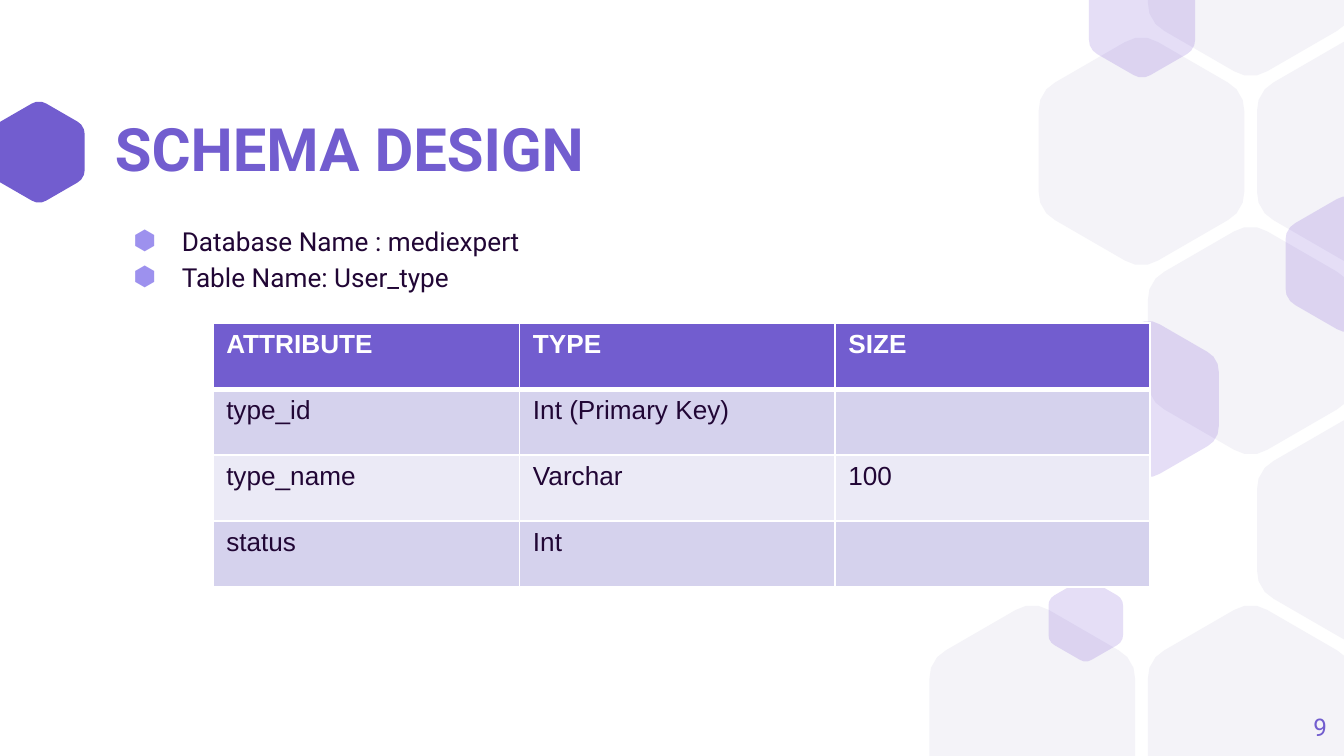
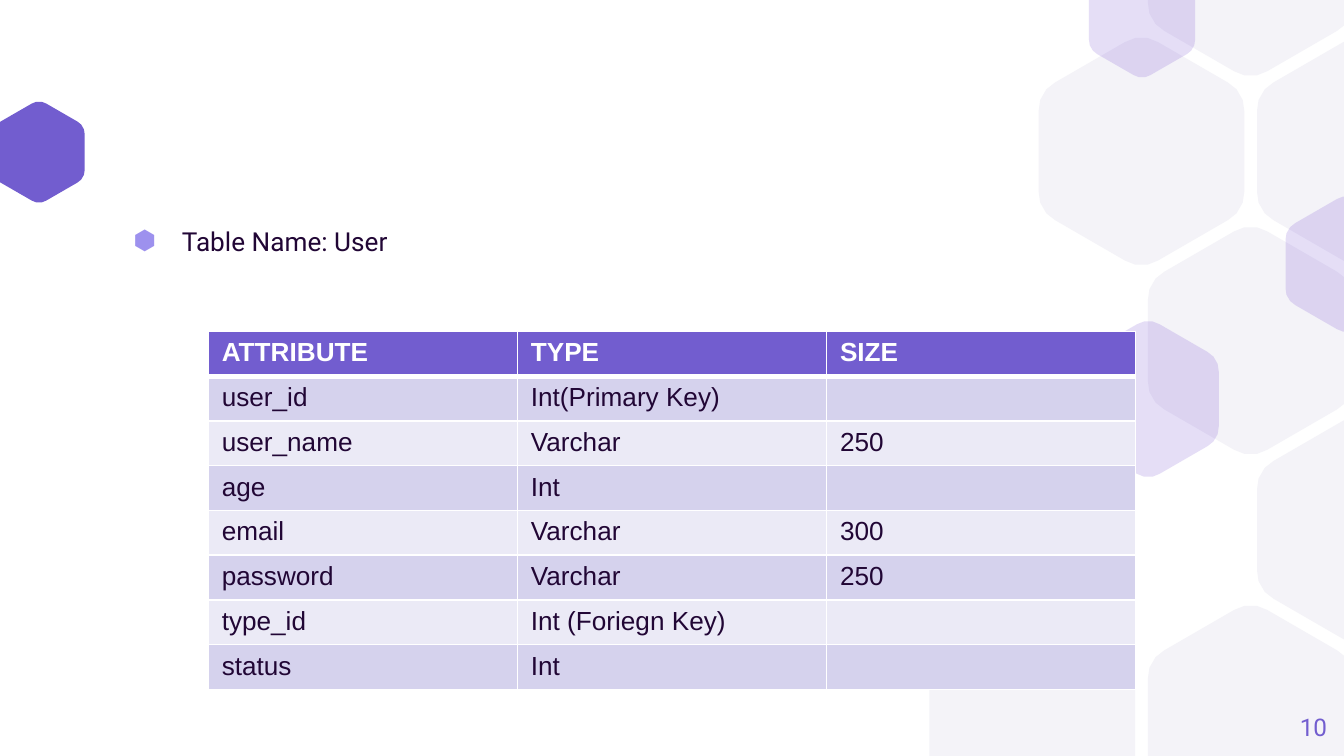
import math

import pptx
import pptx.dml.color
import pptx.enum.text
import pptx.oxml
import pptx.oxml.ns
import pptx.util

Pt = pptx.util.Pt
ALIGN = pptx.enum.text.PP_ALIGN
ANCHOR = pptx.enum.text.MSO_ANCHOR
NS = pptx.oxml.ns.nsdecls("a")

WIDTH, HEIGHT = 720, 405
VIOLET, LILAC, INK, WHITE = "725DCF", "9D91EE", "210635", "FFFFFF"
MIST, GLOW = "F4F3F8", "5322C9"
BANDS = ["D5D2ED", "EBEAF6"]
HEADINGS = ["ATTRIBUTE", "TYPE", "SIZE"]

CORNER = [(-0.08, -0.53), (-0.03, -0.55), (0.03, -0.55), (0.08, -0.53)]
HONEYCOMB = [(0, 4), (2, 4), (3, 1), (2, 0), (2, 2), (1, 1), (3, 3)]
GLOWING = [(721.5, 141.5, 65.8), (581.7, 332.3, 40), (611.8, 10, 57), (615.2, 213.8, 75.6)]


def color(code):
    return pptx.dml.color.RGBColor.from_string(code)


def hexagon_outline(center_x, center_y, width):
    points = []
    for side in range(6):
        turn = math.radians(60 * side)
        for x, y in CORNER:
            points.append((
                center_x + width * (x * math.cos(turn) - y * math.sin(turn)),
                center_y + width * (x * math.sin(turn) + y * math.cos(turn))))
    inside = [0 <= y <= HEIGHT for _, y in points]
    return [(Pt(x), Pt(min(max(y, 0), HEIGHT)))
            for i, (x, y) in enumerate(points)
            if inside[i - 1] or inside[i] or inside[(i + 1) % len(points)]]


class SchemaDeck:
    def __init__(self):
        self.deck = pptx.Presentation()
        self.deck.slide_width, self.deck.slide_height = Pt(WIDTH), Pt(HEIGHT)
        self.layout = self.deck.slide_layouts[1]
        self.slide = None

    def add_slide(self):
        self.slide = self.deck.slides.add_slide(self.layout)

    def hexagon(self, center_x, center_y, width, fill, opacity=100):
        outline = hexagon_outline(center_x, center_y, width)
        builder = self.slide.shapes.build_freeform(*outline[0])
        builder.add_line_segments(outline[1:], close=True)
        tile = builder.convert_to_shape()
        tile.shadow.inherit = False
        tile.fill.solid()
        tile.fill.fore_color.rgb = color(fill)
        tile.line.fill.background()
        if opacity < 100:
            paint = tile.element.spPr.find(".//" + pptx.oxml.ns.qn("a:srgbClr"))
            paint.append(pptx.oxml.parse_xml(f'<a:alpha {NS} val="{opacity * 1000}"/>'))
        return tile

    def backdrop(self):
        for footer in list(self.layout.placeholders):
            if footer.placeholder_format.idx >= 10:
                footer.element.getparent().remove(footer.element)
        tiles = [self.hexagon(20.9, 81.5, 49, VIOLET)]
        for column, row in HONEYCOMB:
            tiles.append(self.hexagon(553 + 58.5 * column, -20.3 + 101.4 * row, 110.4, MIST))
        for center_x, center_y, width in GLOWING:
            tiles.append(self.hexagon(center_x, center_y, width, GLOW, 15))
        for tile in tiles:
            self.layout.shapes.element.append(tile.element)

    def place(self, holder, left, top, width, height, anchor):
        holder.left, holder.top = Pt(left), Pt(top)
        holder.width, holder.height = Pt(width), Pt(height)
        frame = holder.text_frame
        frame.margin_left = frame.margin_right = frame.margin_top = frame.margin_bottom = 0
        frame.word_wrap = True
        frame.auto_size = pptx.enum.text.MSO_AUTO_SIZE.NONE
        frame.vertical_anchor = anchor
        return frame

    def style(self, paragraph, size, ink, name="Roboto", bold=False):
        font = paragraph.font
        font.name, font.size, font.bold = name, Pt(size), bold
        font.color.rgb = color(ink)

    def title(self, wording):
        heading = self.slide.shapes.title
        if not wording:
            heading.element.getparent().remove(heading.element)
            return
        frame = self.place(heading, 61.5, 65.9, 473, 31, ANCHOR.MIDDLE)
        frame.text = wording
        line = frame.paragraphs[0]
        line.alignment, line.line_spacing = ALIGN.LEFT, 0.9
        self.style(line, 32, VIOLET, bold=True)

    def bullets(self, facts):
        frame = self.place(self.slide.placeholders[1], 61.4, 118.2, 473, 226.8, ANCHOR.TOP)
        frame.text = "\n".join(facts)
        for fact in frame.paragraphs:
            fact.line_spacing, fact.space_before = 1.15, Pt(0)
            props = fact._p.get_or_add_pPr()
            props.set("marL", str(Pt(36)))
            props.set("indent", str(Pt(-26)))
            props.append(pptx.oxml.parse_xml(
                f'<a:buClr {NS}><a:srgbClr val="{LILAC}"/></a:buClr>'))
            props.append(pptx.oxml.parse_xml(f'<a:buFont {NS} typeface="Roboto"/>'))
            props.append(pptx.oxml.parse_xml(f'<a:buChar {NS} char="⬢"/>'))
            self.style(fact, 14, INK)

    def page_number(self, number):
        corner = self.slide.shapes.add_textbox(0, 0, 0, 0)
        frame = self.place(corner, 667.7, 373.9, 43.2, 31, ANCHOR.MIDDLE)
        frame.text = str(number)
        frame.paragraphs[0].alignment = ALIGN.RIGHT
        self.style(frame.paragraphs[0], 13, VIOLET)

    def borders(self, cell, above, below):
        props = cell._tc.get_or_add_tcPr()
        edges = [("lnL", 1), ("lnR", 1), ("lnT", above), ("lnB", below)]
        for position, (edge, weight) in enumerate(edges):
            props.insert(position, pptx.oxml.parse_xml(
                f'<a:{edge} {NS} w="{Pt(weight)}"><a:solidFill>'
                f'<a:srgbClr val="{WHITE}"/></a:solidFill></a:{edge}>'))

    def schema(self, left, top, column_widths, row_height, attributes):
        rows = [HEADINGS] + attributes
        grid = self.slide.shapes.add_table(
            len(rows), len(HEADINGS), Pt(left), Pt(top),
            Pt(sum(column_widths)), Pt(row_height * len(rows))).table
        grid.horz_banding = False
        for column, width in zip(grid.columns, column_widths):
            column.width = Pt(width)
        for r, values in enumerate(rows):
            grid.rows[r].height = Pt(row_height)
            for c, value in enumerate(values):
                cell = grid.cell(r, c)
                header = r == 0
                if value:
                    cell.text = value
                cell.fill.solid()
                cell.fill.fore_color.rgb = color(VIOLET if header else BANDS[(r - 1) % 2])
                self.borders(cell, 3 if r == 1 else 1, 3 if header else 1)
                self.style(cell.text_frame.paragraphs[0], 14,
                           WHITE if header else INK, "Arial", header)


def main():
    show = SchemaDeck()

    show.add_slide()
    show.backdrop()
    show.title("SCHEMA DESIGN")
    show.bullets(["Database Name : mediexpert", "Table Name: User_type"])
    show.page_number(9)
    show.schema(114, 173.2, [164.3, 169, 168.8], 35.3, [
        ["type_id", "Int (Primary Key)", ""],
        ["type_name", "Varchar", "100"],
        ["status", "Int", ""],
    ])

    show.add_slide()
    show.title("")
    show.bullets(["Table Name: User"])
    show.page_number(10)
    show.schema(111.6, 177.5, [165.6] * 3, 24, [
        ["user_id", "Int(Primary Key)", ""],
        ["user_name", "Varchar", "250"],
        ["age", "Int", ""],
        ["email", "Varchar", "300"],
        ["password", "Varchar", "250"],
        ["type_id", "Int (Foriegn Key)", ""],
        ["status", "Int", ""],
    ])

    show.deck.save("out.pptx")


if __name__ == "__main__":
    main()
